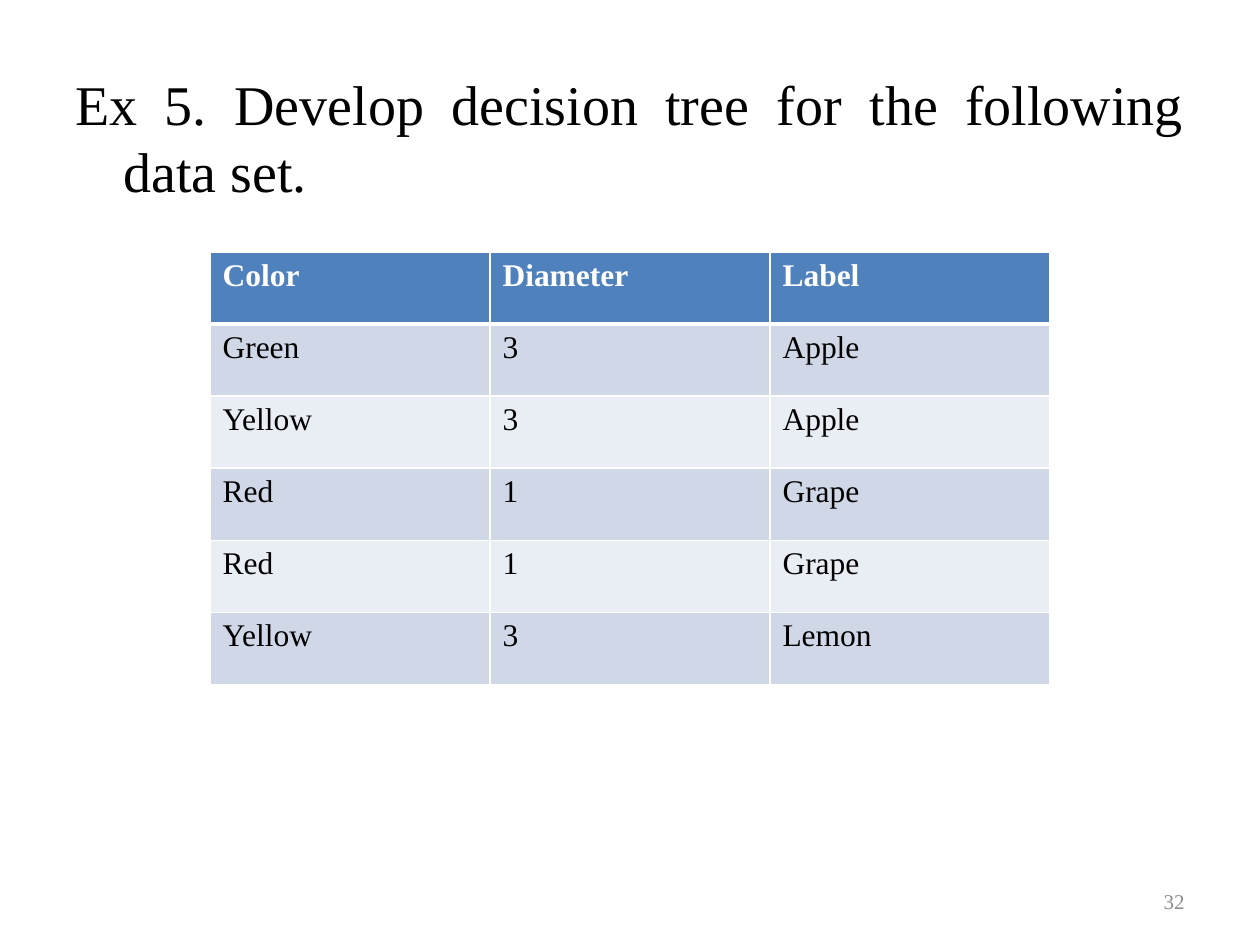
import pptx
import pptx.dml.color
import pptx.enum.text
import pptx.oxml
import pptx.oxml.ns
import pptx.util
from lxml import etree

RGB = pptx.dml.color.RGBColor
ALIGN = pptx.enum.text.PP_ALIGN
ANCHOR = pptx.enum.text.MSO_ANCHOR

BLACK = RGB(0x00, 0x00, 0x00)
WHITE = RGB(0xFF, 0xFF, 0xFF)
GREY = RGB(0x8C, 0x8C, 0x8C)
BLUE = RGB(0x4F, 0x81, 0xBD)
BANDS = (RGB(0xE9, 0xED, 0xF4), RGB(0xD0, 0xD8, 0xE8))

ROWS = (
    ("Color", "Diameter", "Label"),
    ("Green", "3", "Apple"),
    ("Yellow", "3", "Apple"),
    ("Red", "1", "Grape"),
    ("Red", "1", "Grape"),
    ("Yellow", "3", "Lemon"),
)


class Deck:
    """Style and current slide; lengths are units of a 60 by 45 grid."""

    font = "Times New Roman"
    unit = pptx.util.Inches(10) // 60

    def __init__(self):
        self.file = pptx.Presentation()
        self.file.slide_width = 60 * self.unit
        self.file.slide_height = 45 * self.unit
        self.slide = self.file.slides.add_slide(self.file.slide_layouts[6])

    def span(self, *units):
        return [round(n * self.unit) for n in units]

    def style(self, para, size, color, bold=False):
        for run in para.runs:
            run.font.name = self.font
            run.font.size = pptx.util.Pt(size)
            run.font.color.rgb = color
            run.font.bold = bold

    def text(self, words, area, size, color, align, anchor=ANCHOR.TOP):
        frame = self.slide.shapes.add_textbox(*self.span(*area)).text_frame
        frame.word_wrap = True
        frame.vertical_anchor = anchor
        para = frame.paragraphs[0]
        para.text = words
        para.alignment = align
        self.style(para, size, color)
        return para

    def hang(self, para, inches):
        """Indent all lines but the first."""
        props = para._p.get_or_add_pPr()
        depth = pptx.util.Inches(inches)
        props.set("marL", str(depth))
        props.set("indent", str(-depth))

    def edge(self, cell, side, width):
        """Draw one white cell border; side is L, R, T or B."""
        qn = pptx.oxml.ns.qn
        line = etree.Element(qn(f"a:ln{side}"), w=str(pptx.util.Pt(width)))
        fill = etree.SubElement(line, qn("a:solidFill"))
        etree.SubElement(fill, qn("a:srgbClr"), val=str(WHITE))
        props = cell._tc.get_or_add_tcPr()
        props.insert(len(props.findall("*")) - 1, line)

    def table(self, rows, area):
        shape = self.slide.shapes.add_table(
            len(rows), len(rows[0]), *self.span(*area))
        for r, row in enumerate(rows):
            head = r == 0
            for c, words in enumerate(row):
                cell = shape.table.cell(r, c)
                cell.text = words
                cell.fill.solid()
                cell.fill.fore_color.rgb = BLUE if head else BANDS[r % 2]
                self.style(cell.text_frame.paragraphs[0], 18,
                           WHITE if head else BLACK, head)
                for side in "LRTB":
                    thick = (r, side) in ((0, "B"), (1, "T"))
                    self.edge(cell, side, 3 if thick else 1)


def main():
    deck = Deck()
    title = deck.text("Ex 5. Develop decision tree for the following data set.",
                      (3, 3, 54, 37.2), 32, BLACK, ALIGN.JUSTIFY)
    title.space_before = pptx.util.Pt(6.4)
    deck.hang(title, 0.38)
    deck.table(ROWS, (10, 12, 40, 20.6))
    deck.text("32", (43, 41.7, 14, 2.4), 12, GREY, ALIGN.RIGHT, ANCHOR.MIDDLE)
    deck.file.save("out.pptx")


if __name__ == "__main__":
    main()
